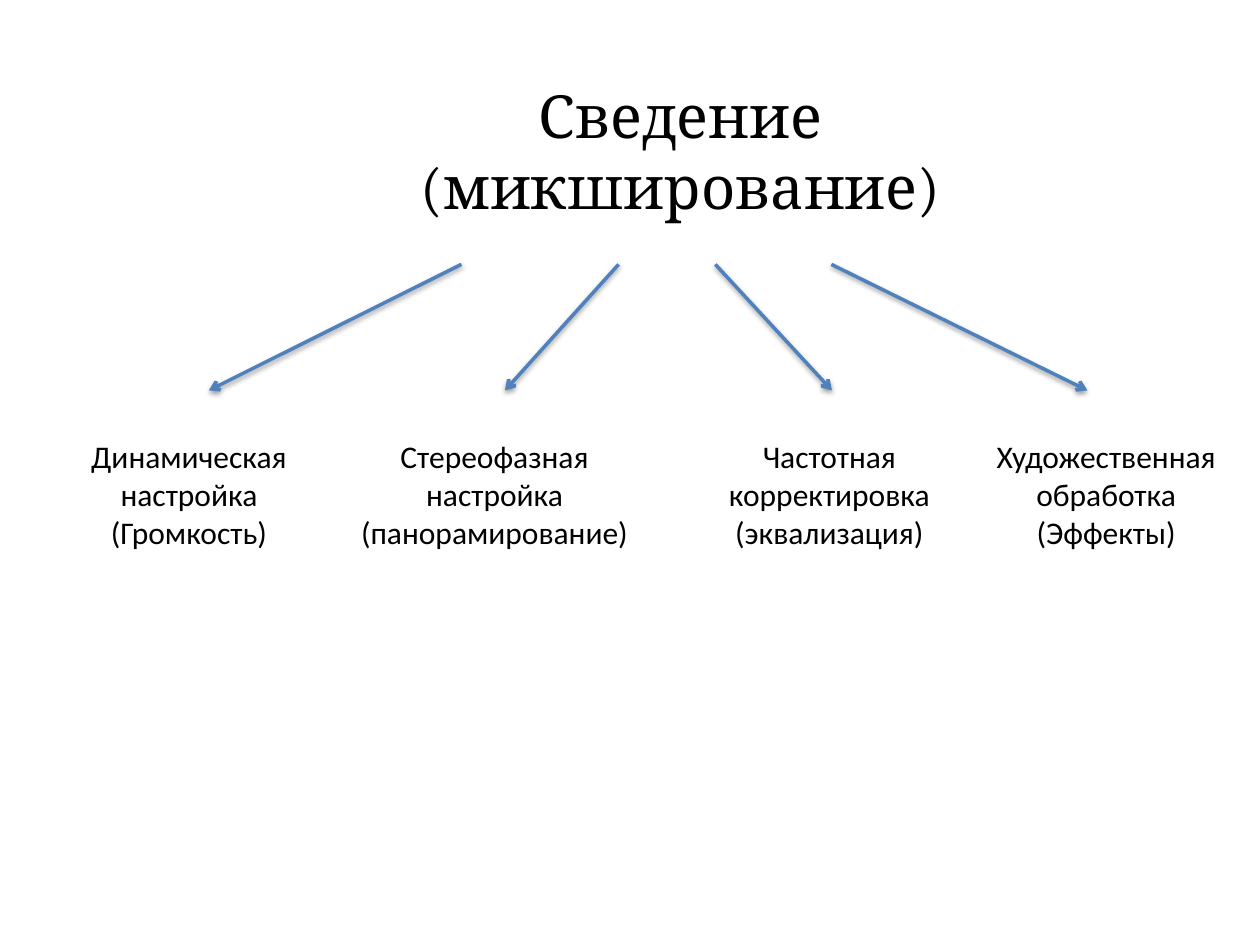
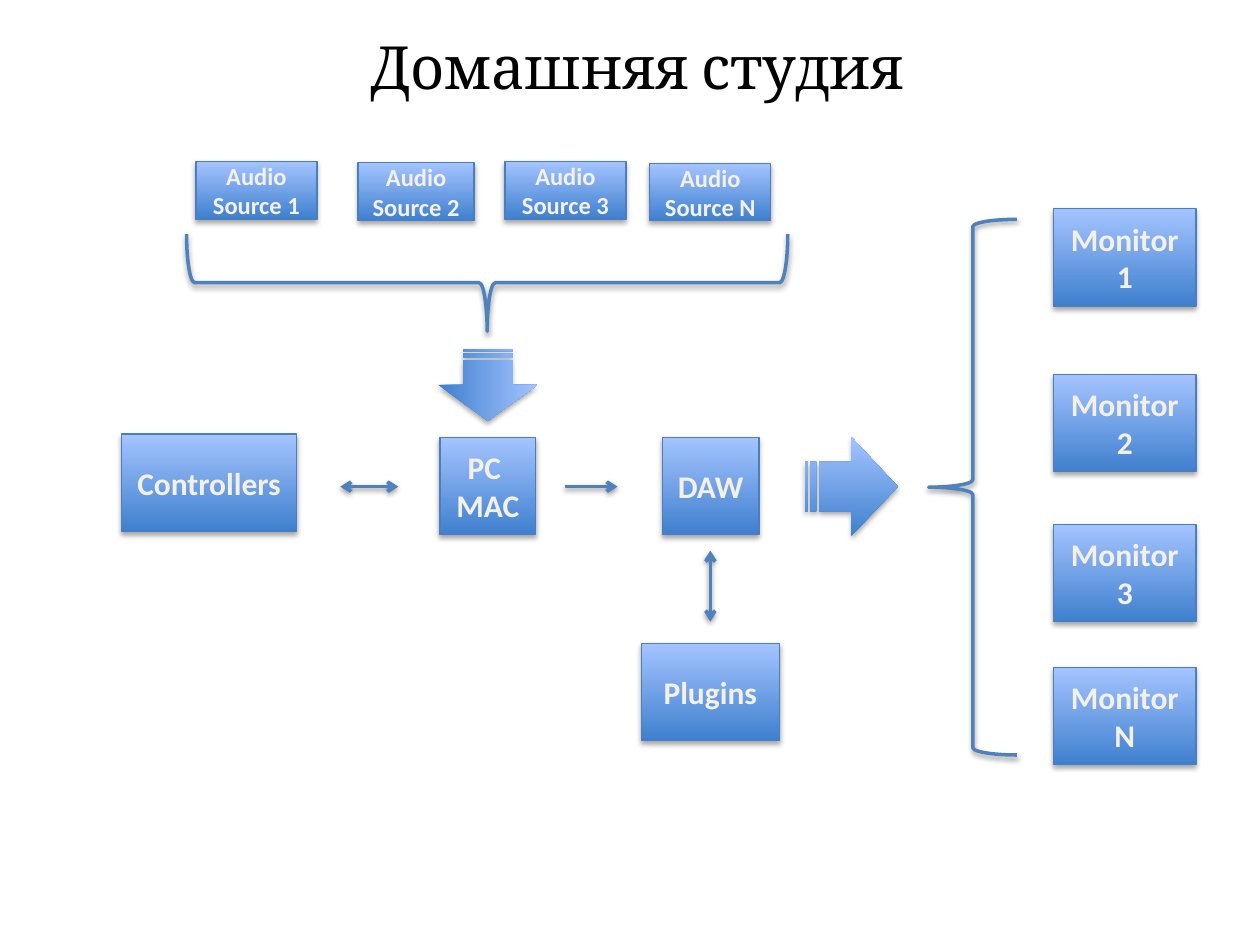
from lxml import etree
from pptx import Presentation
from pptx.dml.color import RGBColor
from pptx.enum.shapes import MSO_CONNECTOR, MSO_SHAPE
from pptx.enum.text import MSO_ANCHOR, PP_ALIGN
from pptx.oxml.ns import qn
from pptx.util import Cm, Pt

RECTANGLE = MSO_SHAPE.RECTANGLE
BRACE = MSO_SHAPE.RIGHT_BRACE
STRIPED_ARROW = MSO_SHAPE.STRIPED_RIGHT_ARROW
STRAIGHT = MSO_CONNECTOR.STRAIGHT
CENTER = PP_ALIGN.CENTER
MIDDLE = MSO_ANCHOR.MIDDLE

BLACK = "000000"
CREAM = "F4F1E3"
LINE_BLUE = "4F81BD"
BOX_EDGE = "4B7EBC"
GRADIENT = ("3F80CE", "A4C4FF")
TITLE_FONT, BODY_FONT = "Cambria", "Calibri"
color = RGBColor.from_string


def write_text(shape, lines, size, font_name=BODY_FONT, hex_color=BLACK, bold=False):
    frame = shape.text_frame
    frame.word_wrap = True
    frame.text = lines
    for paragraph in frame.paragraphs:
        paragraph.alignment = CENTER
        paragraph.font.name = font_name
        paragraph.font.size = Pt(size)
        paragraph.font.bold = bold
        paragraph.font.color.rgb = color(hex_color)


def cast_shadow(shape, opacity, distance):
    properties = shape._element.spPr
    effects = etree.SubElement(properties, qn("a:effectLst"))
    shadow = etree.SubElement(effects, qn("a:outerShdw"), blurRad=str(Pt(3.1)),
                              dist=str(Pt(distance)), dir="5400000", rotWithShape="0")
    shadow_color = etree.SubElement(shadow, qn("a:srgbClr"), val=BLACK)
    etree.SubElement(shadow_color, qn("a:alpha"), val=str(opacity * 1000))


presentation = Presentation()
presentation.slide_width, presentation.slide_height = Cm(25.4), Cm(19.05)
blank = presentation.slide_layouts[6]
mixing = presentation.slides.add_slide(blank)
studio = presentation.slides.add_slide(blank)

# Titles
titles = [
    (mixing, "Сведение (микширование)", 6.76, 1.47, 13.92, 2.49),
    (studio, "Домашняя студия", 6.68, 0.48, 12.32, 1.7),
]
for slide, title, left, top, width, height in titles:
    box = slide.shapes.add_textbox(Cm(left), Cm(top), Cm(width), Cm(height))
    write_text(box, title, 34, TITLE_FONT)

# Mixing stages
stages = [
    ("Динамическая настройка (Громкость)", 0.94, 5.74),
    ("Стереофазная настройка (панорамирование)", 6.58, 6.78),
    ("Частотная корректировка\n(эквализация)", 14.14, 5.16),
    ("Художественная обработка\n(Эффекты)", 19.72, 5.16),
]
for stage, left, width in stages:
    box = mixing.shapes.add_textbox(Cm(left), Cm(8.69), Cm(width), Cm(2.57))
    write_text(box, stage, 18)

# Studio boxes: audio sources, signal chain, monitors
ROW_TOP, BOX_HEIGHT = 8.82, 1.96
boxes = [
    ("Audio Source 1", 14, 3.95, 3.25, 2.44, 1.17),
    ("Audio Source 2", 14, 7.22, 3.28, 2.34, 1.17),
    ("Audio Source 3", 14, 10.18, 3.25, 2.44, 1.17),
    ("Audio Source N", 14, 13.1, 3.3, 2.44, 1.14),
    ("Controllers", 18, 2.45, 8.75, 3.53, BOX_HEIGHT),
    ("PC \nMAC", 18, 8.87, ROW_TOP, 1.93, BOX_HEIGHT),
    ("DAW", 18, 13.35, ROW_TOP, 1.95, BOX_HEIGHT),
    ("Plugins", 18, 12.93, 12.97, 2.78, BOX_HEIGHT),
]
for number, top in zip("123N", (4.21, 7.55, 10.57, 13.45)):
    boxes.append((f"Monitor {number}", 18, 21.24, top, 2.87, BOX_HEIGHT))

gradient_shapes = []
for label, size, left, top, width, height in boxes:
    box = studio.shapes.add_shape(RECTANGLE, Cm(left), Cm(top), Cm(width), Cm(height))
    box.line.color.rgb = color(BOX_EDGE)
    box.line.width = Pt(0.75)
    box.text_frame.vertical_anchor = MIDDLE
    write_text(box, label, size, hex_color=CREAM, bold=True)
    gradient_shapes.append(box)

# Striped block arrows
for left, top, width, height, rotation in [(9.11, 6.76, 1.45, 2.0, 90),
                                           (16.22, 8.81, 1.88, 2.0, 0)]:
    arrow = studio.shapes.add_shape(STRIPED_ARROW, Cm(left), Cm(top), Cm(width), Cm(height))
    arrow.rotation = rotation
    arrow.line.fill.background()
    gradient_shapes.append(arrow)

for shape in gradient_shapes:
    shape.fill.gradient()
    shape.fill.gradient_angle = 90
    for stop, hex_color in zip(shape.fill.gradient_stops, GRADIENT):
        stop.color.rgb = color(hex_color)
    cast_shadow(shape, 35, 1.8)

# Braces around sources and monitors
for left, top, width, height, rotation in [(8.84, -0.36, 1.96, 12.12, 90),
                                           (18.72, 4.42, 1.78, 10.8, 180)]:
    brace = studio.shapes.add_shape(BRACE, Cm(left), Cm(top), Cm(width), Cm(height))
    brace.rotation = rotation
    brace.fill.background()
    brace.line.color.rgb = color(LINE_BLUE)
    brace.line.width = Pt(2)
    cast_shadow(brace, 38, 1.6)

# Thin arrows: start, end and the ends that carry a head
arrows = [
    (studio, 11.38, 9.81, 12.45, 9.81, ["tailEnd"]),
    (studio, 14.32, 11.1, 14.32, 12.53, ["headEnd", "tailEnd"]),
    (studio, 8.03, 9.81, 6.86, 9.81, ["headEnd", "tailEnd"]),
]
for start, end in [(9.3, 4.21), (12.47, 10.18), (14.42, 16.77), (16.76, 21.92)]:
    arrows.append((mixing, start, 5.33, end, 7.87, ["tailEnd"]))

for slide, start_x, start_y, end_x, end_y, heads in arrows:
    arrow = slide.shapes.add_connector(STRAIGHT, Cm(start_x), Cm(start_y),
                                       Cm(end_x), Cm(end_y))
    arrow.line.color.rgb = color(LINE_BLUE)
    arrow.line.width = Pt(2)
    outline = arrow._element.spPr.find(qn("a:ln"))
    for head in heads:
        etree.SubElement(outline, qn(f"a:{head}"), type="arrow")
    cast_shadow(arrow, 38, 1.6)

presentation.save("out.pptx")
